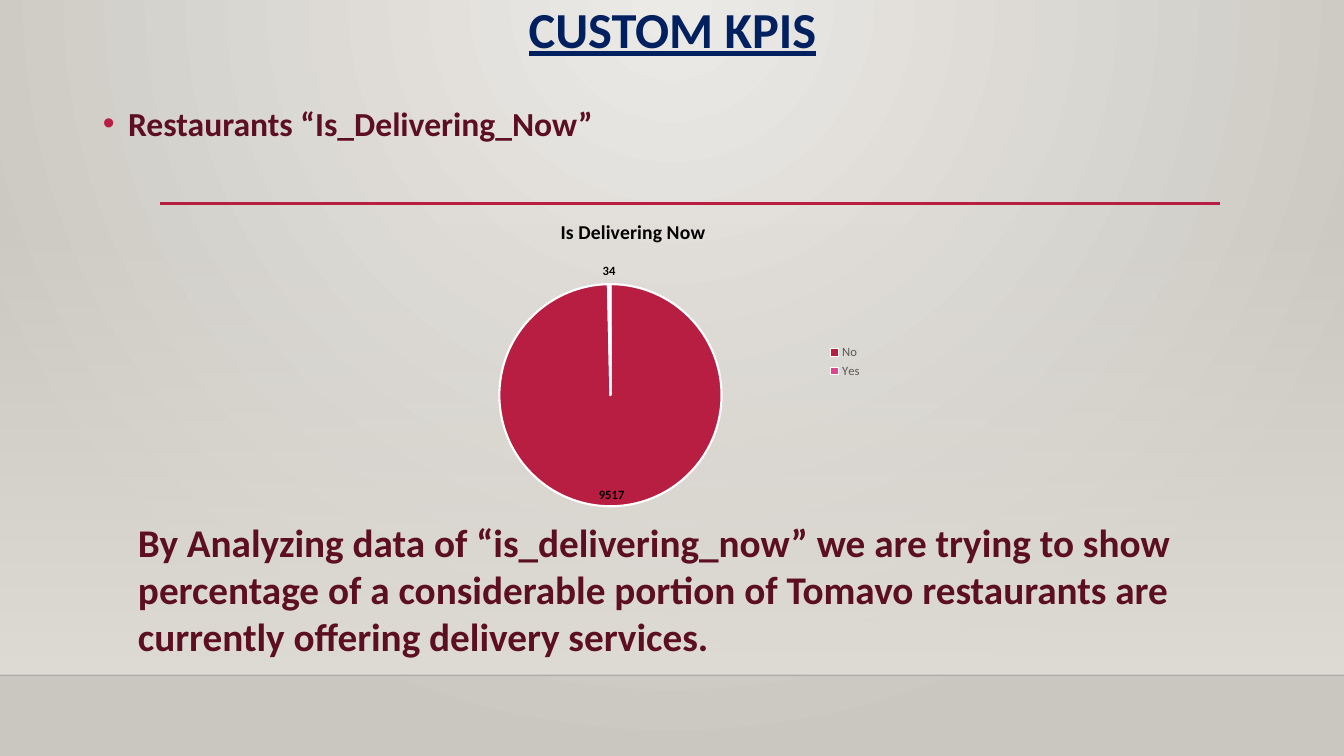
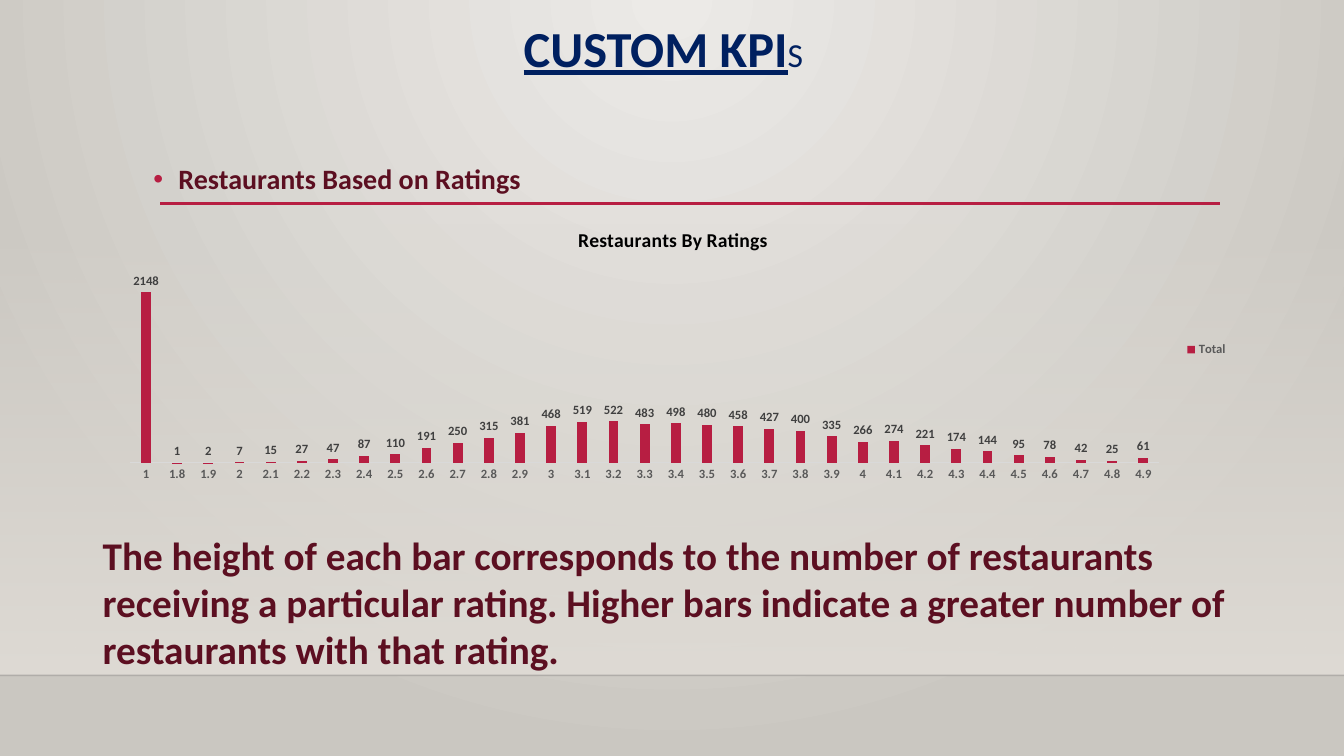
from dataclasses import dataclass

from lxml.etree import SubElement
from pptx import Presentation
from pptx.chart.chart import Chart
from pptx.chart.data import CategoryChartData
from pptx.dml.color import RGBColor
from pptx.dml.fill import FillFormat
from pptx.enum.chart import XL_CHART_TYPE, XL_LABEL_POSITION, XL_LEGEND_POSITION, XL_TICK_MARK
from pptx.enum.shapes import MSO_CONNECTOR, MSO_SHAPE
from pptx.enum.text import MSO_ANCHOR, MSO_AUTO_SIZE, PP_ALIGN
from pptx.oxml.ns import qn
from pptx.slide import Slide, SlideLayout
from pptx.text.text import Font
from pptx.util import Inches, Pt

FONT = "Calibri"
COLORS = {
    "glow": "ECEAE7", "edge": "CAC7C1", "floor": "DFDBD5", "floor_line": "000001",
    "accent": "B71E42", "pink": "DE478E", "title": "002060", "body": "5C0F21",
    "black": "000000", "white": "FFFFFF", "axis_text": "595959",
    "label": "404040", "axis_line": "D9D9D9",
}


@dataclass(frozen=True)
class Box:
    left: float
    top: float
    width: float
    height: float

    def lengths(self) -> tuple:
        return tuple(Inches(side) for side in (self.left, self.top, self.width, self.height))


@dataclass(frozen=True)
class TextPart:
    text: str
    size: int
    emphasis: bool = True


@dataclass(frozen=True)
class ChartSpec:
    kind: XL_CHART_TYPE
    title: str
    series: str
    values: dict[str, int]
    box: Box
    plot: Box  # fractions of the chart area
    label_position: XL_LABEL_POSITION
    label_color: str
    bold_legend: bool


@dataclass(frozen=True)
class KpiSlide:
    title: tuple[TextPart, ...]
    title_box: Box
    topic: TextPart
    topic_box: Box
    chart: ChartSpec
    finding: str
    finding_box: Box


RATINGS = ["1"] + [f"{tenths / 10:g}" for tenths in range(18, 50)]
RATING_COUNTS = [
    2148, 1, 2, 7, 15, 27, 47, 87, 110, 191, 250, 315, 381, 468, 519, 522, 483,
    498, 480, 458, 427, 400, 335, 266, 274, 221, 174, 144, 95, 78, 42, 25, 61,
]

SLIDES = [
    KpiSlide(
        (TextPart("CUSTOM KPIS", 36),), Box(0.92, 0, 11.5, 0.98),
        TextPart("Restaurants “Is_Delivering_Now”", 24), Box(0.92, 0.89, 11.5, 5.86),
        ChartSpec(
            XL_CHART_TYPE.PIE, "Is Delivering Now", "Series 1", {"No": 9517, "Yes": 34},
            Box(3.91, 2.01, 4.74, 3.16), Box(0.22, 0.255, 0.465, 0.7),
            XL_LABEL_POSITION.BEST_FIT, "black", False,
        ),
        "By Analyzing data of “is_delivering_now” we are trying to show percentage of a "
        "considerable portion of Tomavo restaurants are currently offering delivery services.",
        Box(1.27, 5.09, 10.78, 1.51),
    ),
    KpiSlide(
        (TextPart("CUSTOM KPI", 36), TextPart("S", 24, False)), Box(0.83, 0.19, 11.5, 0.81),
        TextPart("Restaurants Based on Ratings", 20), Box(1.42, 1.49, 11, 0.51),
        ChartSpec(
            XL_CHART_TYPE.COLUMN_CLUSTERED, "Restaurants By Ratings", "Total",
            dict(zip(RATINGS, RATING_COUNTS)),
            Box(1.07, 2.1, 11.21, 2.74), Box(0.02, 0.19, 0.91, 0.72),
            XL_LABEL_POSITION.OUTSIDE_END, "label", True,
        ),
        "The height of each bar corresponds to the number of restaurants receiving a particular "
        "rating. Higher bars indicate a greater number of restaurants with that rating.",
        Box(0.92, 5.22, 11.63, 1.51),
    ),
]


def rgb(color: str) -> RGBColor:
    return RGBColor.from_string(COLORS[color])


def style(font: Font, size: float, color: str, bold: bool = True) -> None:
    font.name, font.size, font.bold = FONT, Pt(size), bold
    font.color.rgb = rgb(color)


def set_gradient(fill: FillFormat, first: str, last: str) -> None:
    fill.gradient()
    for stop, color in zip(fill.gradient_stops, (first, last)):
        stop.color.rgb = rgb(color)


def set_alpha(parent, percent: int) -> None:
    """Make the first colour found under parent partly transparent."""
    color = next(parent.iter(qn("a:srgbClr")))
    SubElement(color, qn("a:alpha")).set("val", str(percent * 1000))


def add_rule(slide: Slide, left: float, right: float, y: float, color: str, width: float):
    rule = slide.shapes.add_connector(
        MSO_CONNECTOR.STRAIGHT, Inches(left), Inches(y), Inches(right), Inches(y))
    rule.line.color.rgb = rgb(color)
    rule.line.width = Pt(width)
    SubElement(rule.element.spPr, qn("a:effectLst"))
    return rule


def decorate_layout(layout: SlideLayout, slide: Slide) -> None:
    """Give the layout its backdrop; the shapes are made on slide, then moved."""
    backdrop = layout.background.fill
    set_gradient(backdrop, "glow", "edge")
    gradient = next(layout.element.iter(qn("a:gradFill")))
    gradient.remove(gradient.find(qn("a:lin")))
    circle = SubElement(gradient, qn("a:path"), path="circle")
    SubElement(circle, qn("a:fillToRect"), l="43000", t="0", r="43000", b="100000")

    floor = slide.shapes.add_shape(MSO_SHAPE.RECTANGLE, *Box(0, 2.21, 13.33, 4.49).lengths())
    floor.shadow.inherit = False
    floor.line.fill.background()
    set_gradient(floor.fill, "floor", "floor")
    floor.fill.gradient_angle = 270
    set_alpha(floor.element.spPr, 0)
    floor_edge = add_rule(slide, 0, 13.33, 6.7, "floor_line", 1)
    set_alpha(floor_edge.element.spPr, 20)
    divider = add_rule(slide, 1.59, 12.1, 2.02, "accent", 2.5)
    for index, part in enumerate((floor, floor_edge, divider), start=2):
        layout.shapes.element.insert(index, part.element)


def place(shape, box: Box) -> None:
    shape.left, shape.top, shape.width, shape.height = box.lengths()
    frame = shape.text_frame
    frame.word_wrap = True
    frame.auto_size = MSO_AUTO_SIZE.NONE
    frame.vertical_anchor = MSO_ANCHOR.TOP


def fill_title(slide: Slide, parts: tuple[TextPart, ...], box: Box) -> None:
    title = slide.shapes.title
    place(title, box)
    paragraph = title.text_frame.paragraphs[0]
    paragraph.alignment = PP_ALIGN.CENTER
    paragraph.line_spacing = 0.9
    for part in parts:
        run = paragraph.add_run()
        run.text = part.text
        style(run.font, part.size, "title", part.emphasis)
        run.font.underline = part.emphasis


def fill_topic(slide: Slide, topic: TextPart, box: Box) -> None:
    body = slide.placeholders[1]
    place(body, box)
    paragraph = body.text_frame.paragraphs[0]
    paragraph.text = topic.text
    paragraph.line_spacing = 1.2
    paragraph.space_before = Pt(0)
    properties = paragraph._p.get_or_add_pPr()
    properties.set("marL", str(Inches(0.25)))
    properties.set("indent", str(-Inches(0.25)))
    bullet_color = SubElement(properties, qn("a:buClr"))
    SubElement(bullet_color, qn("a:srgbClr"), val=COLORS["accent"])
    SubElement(properties, qn("a:buFont"), typeface="Arial")
    SubElement(properties, qn("a:buChar"), char="•")
    style(paragraph.runs[0].font, topic.size, "body")


def set_plot_layout(chart: Chart, plot: Box) -> None:
    area = chart.element.find(".//" + qn("c:plotArea"))
    layout = area.find(qn("c:layout"))
    if layout is None:
        layout = area.makeelement(qn("c:layout"))
        area.insert(0, layout)
    manual = SubElement(layout, qn("c:manualLayout"))
    settings = {
        "layoutTarget": "inner", "xMode": "edge", "yMode": "edge",
        "x": plot.left, "y": plot.top, "w": plot.width, "h": plot.height,
    }
    for tag, value in settings.items():
        SubElement(manual, qn(f"c:{tag}")).set("val", str(value))


def format_pie(chart: Chart) -> None:
    pie = chart.plots[0]
    pie.vary_by_categories = True
    for index, color in enumerate(("accent", "pink")):
        slice_format = pie.series[0].points[index].format
        slice_format.fill.solid()
        slice_format.fill.fore_color.rgb = rgb(color)
        slice_format.line.color.rgb = rgb("white")
        slice_format.line.width = Pt(1.5)


def format_columns(chart: Chart) -> None:
    columns = chart.plots[0]
    columns.vary_by_categories = False
    columns.gap_width, columns.overlap = 219, -27
    bars = columns.series[0].format
    bars.fill.solid()
    bars.fill.fore_color.rgb = rgb("accent")
    rating_axis, count_axis = chart.category_axis, chart.value_axis
    rating_axis.major_tick_mark = rating_axis.minor_tick_mark = XL_TICK_MARK.NONE
    style(rating_axis.tick_labels.font, 9, "axis_text")
    rating_axis.format.line.color.rgb = rgb("axis_line")
    rating_axis.format.line.width = Pt(0.75)
    count_axis.minimum_scale, count_axis.maximum_scale = 0, 2500
    count_axis.has_major_gridlines = False
    count_axis.visible = False


def add_kpi_chart(slide: Slide, spec: ChartSpec) -> None:
    data = CategoryChartData()
    data.categories = list(spec.values)
    data.add_series(spec.series, list(spec.values.values()))
    chart = slide.shapes.add_chart(spec.kind, *spec.box.lengths(), data).chart
    style(chart.font, 10, "black", False)
    chart.has_title = True
    heading = chart.chart_title.text_frame
    heading.text = spec.title
    style(heading.paragraphs[0].runs[0].font, 14, "black")
    chart.has_legend = True
    chart.legend.position = XL_LEGEND_POSITION.RIGHT
    chart.legend.include_in_layout = False
    style(chart.legend.font, 9, "axis_text", spec.bold_legend)
    set_plot_layout(chart, spec.plot)
    if spec.kind == XL_CHART_TYPE.PIE:
        format_pie(chart)
    else:
        format_columns(chart)
    labels = chart.plots[0].series[0].data_labels
    labels.show_value = True
    labels.position = spec.label_position
    style(labels.font, 9, spec.label_color)


def add_finding(slide: Slide, text: str, box: Box) -> None:
    finding = slide.shapes.add_textbox(*box.lengths())
    frame = finding.text_frame
    frame.word_wrap = True
    frame.auto_size = MSO_AUTO_SIZE.SHAPE_TO_FIT_TEXT
    frame.text = text
    style(frame.paragraphs[0].runs[0].font, 28, "body")


def main() -> None:
    deck = Presentation()
    deck.slide_width, deck.slide_height = Inches(13.33), Inches(7.5)
    layout = deck.slide_layouts[1]
    for number, content in enumerate(SLIDES):
        slide = deck.slides.add_slide(layout)
        if number == 0:
            decorate_layout(layout, slide)
        fill_title(slide, content.title, content.title_box)
        fill_topic(slide, content.topic, content.topic_box)
        add_kpi_chart(slide, content.chart)
        add_finding(slide, content.finding, content.finding_box)
    deck.save("out.pptx")


if __name__ == "__main__":
    main()
